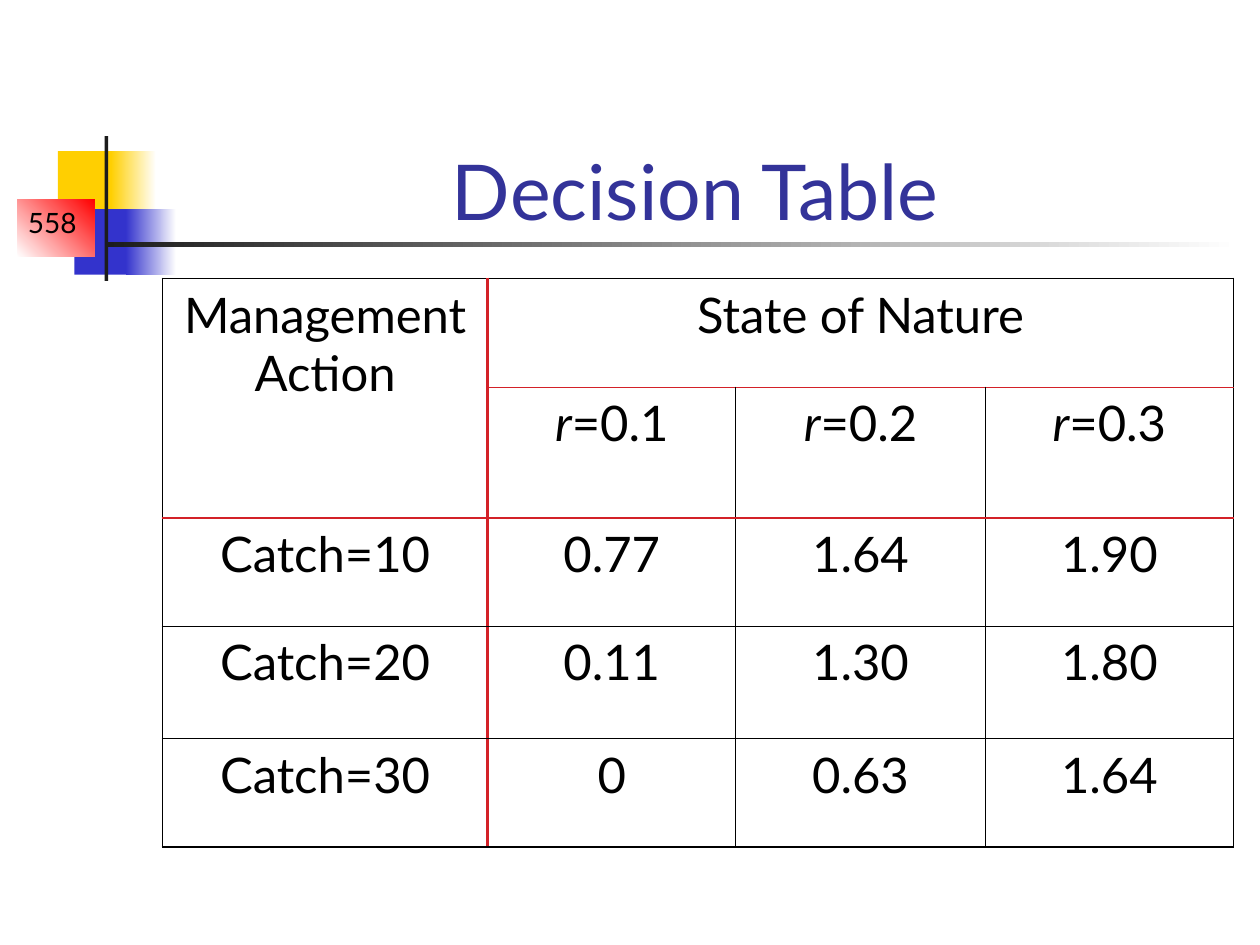
"""Build a decision table slide with a coloured corner ornament."""
from lxml import etree
from pptx import Presentation
from pptx.dml.color import RGBColor
from pptx.enum.shapes import MSO_SHAPE
from pptx.enum.text import MSO_ANCHOR, PP_ALIGN
from pptx.oxml.ns import qn
from pptx.util import Inches, Pt

RECT = MSO_SHAPE.RECTANGLE
CENTER = PP_ALIGN.CENTER
TOP, BOTTOM = MSO_ANCHOR.TOP, MSO_ANCHOR.BOTTOM

WIDTH, HEIGHT = Inches(10), Inches(7.5)
FONT = "Lato"
BLACK = RGBColor(0x00, 0x00, 0x00)
WHITE = RGBColor(0xFF, 0xFF, 0xFF)
YELLOW = RGBColor(0xFF, 0xCF, 0x01)
BLUE = RGBColor(0x33, 0x33, 0xCC)
RED = RGBColor(0xFF, 0x00, 0x00)
CHARCOAL = RGBColor(0x1C, 0x1C, 0x1C)
INDIGO = RGBColor(0x33, 0x33, 0x99)
CRIMSON = RGBColor(0xD3, 0x21, 0x28)

ORNAMENT = [
    ((4.6, 16, 4.8, 6.93), (YELLOW,), 0),
    ((8.8, 16, 3.6, 6.93), (YELLOW, WHITE), 0),
    ((5.9, 22.13, 4.6, 6.93), (BLUE,), 0),
    ((10, 22.13, 4, 6.93), (BLUE, WHITE), 0),
    ((1.4, 21.07, 6.1, 6.13), (WHITE, RED), 45),
    ((8.3, 14.4, 0.3, 15.33), (CHARCOAL,), 0),
    ((8.3, 25.6, 90, 0.53), (CHARCOAL, WHITE), 0),
]

COLUMNS = [25.8, 19.7, 19.8, 19.7]
ROWS = [11.47, 13.87, 11.47, 11.87, 11.47]
CELLS = [
    ["Management Action", "State of Nature", None, None],
    [None, "r=0.1", "r=0.2", "r=0.3"],
    ["Catch=10", "0.77", "1.64", "1.90"],
    ["Catch=20", "0.11", "1.30", "1.80"],
    ["Catch=30", "0", "0.63", "1.64"],
]
OUTER, THIN = (BLACK, 1.08), (BLACK, 0.45)
HEAVY_RED, THIN_RED = (CRIMSON, 1.47), (CRIMSON, 0.45)
VERTICALS = [OUTER, HEAVY_RED, THIN, THIN, OUTER]
HORIZONTALS = [OUTER, THIN_RED, HEAVY_RED, THIN, THIN, OUTER]


def across(share):
    """Turn a percentage of the slide width into a length."""
    return int(WIDTH * share / 100)


def down(share):
    """Turn a percentage of the slide height into a length."""
    return int(HEIGHT * share / 100)


def place(box):
    """Turn percentages (left, top, width, height) into lengths."""
    x, y, w, h = box
    return across(x), down(y), across(w), down(h)


def apply(target, values):
    """Set each attribute in a dict of format values."""
    for name, value in values.items():
        setattr(target, name, value)


def add_block(s, box, colors, angle):
    """Add a plain rectangle in one colour or a two-colour gradient."""
    sp = s.shapes.add_shape(RECT, *place(box))
    sp.shadow.inherit = False
    sp.line.fill.background()
    if len(colors) == 1:
        sp.fill.solid()
        sp.fill.fore_color.rgb = colors[0]
        return
    sp.fill.gradient()
    sp.fill.gradient_angle = angle
    for stop, color in zip(sp.fill.gradient_stops, colors):
        stop.color.rgb = color


def add_run(p, text, size, color=BLACK, italic=False):
    """Add one formatted run to a paragraph."""
    r = p.add_run()
    r.text = text
    apply(r.font, {"name": FONT, "size": Pt(size), "italic": italic})
    r.font.color.rgb = color


def add_label(s, box, text, size, color, anchor):
    """Add a centred, wrapping text box."""
    tf = s.shapes.add_textbox(*place(box)).text_frame
    apply(tf, {"word_wrap": True, "vertical_anchor": anchor})
    p = tf.paragraphs[0]
    p.alignment = CENTER
    add_run(p, text, size, color)


def add_border(cell, side, color, width):
    """Draw one side of a cell."""
    tag = qn(f"a:ln{side}")
    ln = etree.SubElement(cell._tc.get_or_add_tcPr(), tag, w=str(Pt(width)))
    fill = etree.SubElement(ln, qn("a:solidFill"))
    etree.SubElement(fill, qn("a:srgbClr"), val=str(color))


def fill_cell(cell, text, row, col):
    """Write a cell and draw the grid lines around its span."""
    p = cell.text_frame.paragraphs[0]
    apply(p, {"alignment": CENTER, "space_before": Pt(7)})
    if text.startswith("r="):
        add_run(p, "r", 28, italic=True)
        text = text[1:]
    add_run(p, text, 28)
    right = col + (cell.span_width if cell.is_merge_origin else 1)
    bottom = row + (cell.span_height if cell.is_merge_origin else 1)
    add_border(cell, "L", *VERTICALS[col])
    add_border(cell, "R", *VERTICALS[right])
    add_border(cell, "T", *HORIZONTALS[row])
    add_border(cell, "B", *HORIZONTALS[bottom])


def add_decision_table(s):
    """Add the table of outcomes by action and state of nature."""
    box = (12.9, 29.47, sum(COLUMNS), sum(ROWS))
    table = s.shapes.add_table(len(ROWS), len(COLUMNS), *place(box)).table
    apply(table, {"first_row": False, "horz_banding": False})
    for column, share in zip(table.columns, COLUMNS):
        column.width = across(share)
    for row, share in zip(table.rows, ROWS):
        row.height = down(share)
    table.cell(0, 0).merge(table.cell(1, 0))
    table.cell(0, 1).merge(table.cell(0, 3))
    for i, texts in enumerate(CELLS):
        for j, text in enumerate(texts):
            cell = table.cell(i, j)
            if text is not None:
                fill_cell(cell, text, i, j)
            cell.fill.background()


def main():
    """Build and save the slide."""
    prs = Presentation()
    apply(prs, {"slide_width": WIDTH, "slide_height": HEIGHT})
    s = prs.slides.add_slide(prs.slide_layouts[6])
    for box, colors, angle in ORNAMENT:
        add_block(s, box, colors, angle)
    add_label(s, (0, 21.07, 8.3, 4.93), "558", 16, BLACK, TOP)
    add_label(s, (12.6, 8.93, 85.2, 16.67), "Decision Table", 44, INDIGO, BOTTOM)
    add_decision_table(s)
    prs.save("out.pptx")


if __name__ == "__main__":
    main()
